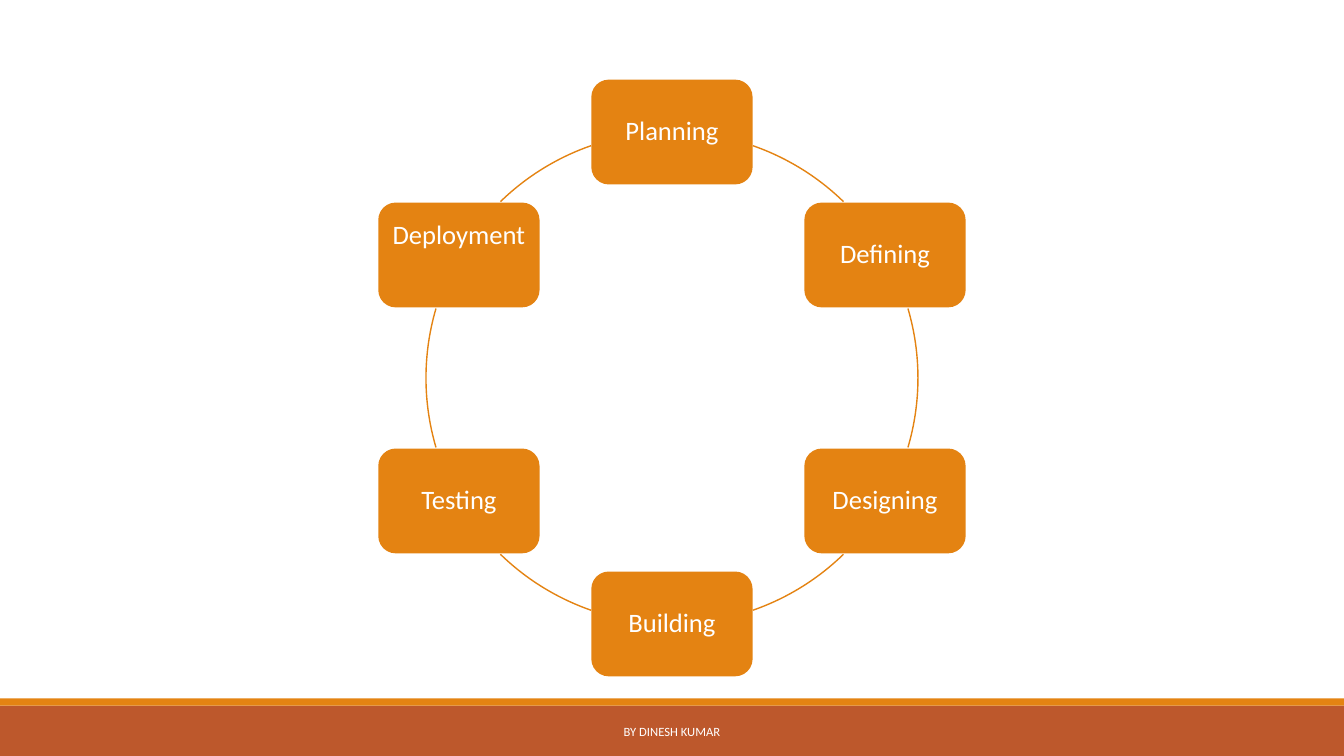
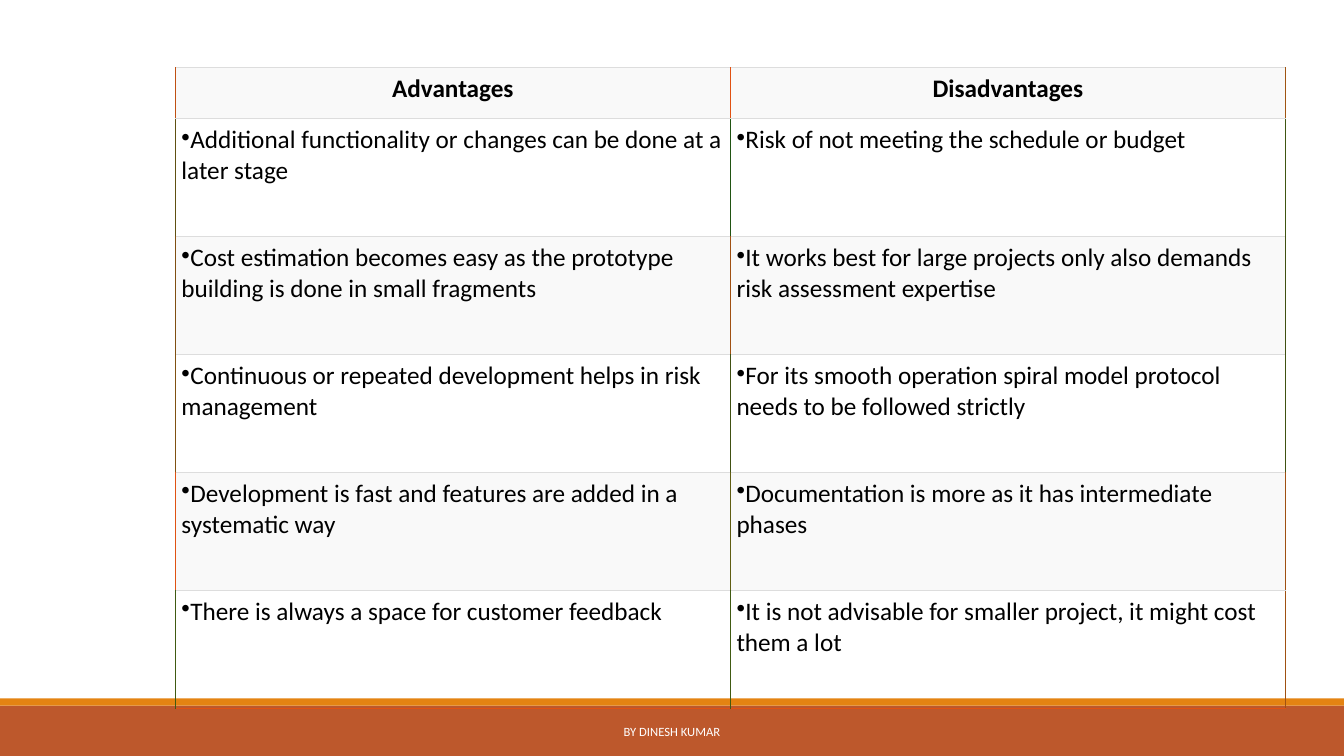
from dataclasses import dataclass
from math import cos, radians, sin

from lxml import etree
from pptx import Presentation
from pptx.dml.color import RGBColor
from pptx.enum.shapes import MSO_SHAPE
from pptx.enum.text import MSO_ANCHOR, PP_ALIGN
from pptx.oxml.ns import qn
from pptx.util import Inches, Pt

RECTANGLE, ROUNDED, ARC = MSO_SHAPE.RECTANGLE, MSO_SHAPE.ROUNDED_RECTANGLE, MSO_SHAPE.ARC
LEFT, CENTER = PP_ALIGN.LEFT, PP_ALIGN.CENTER
MIDDLE = MSO_ANCHOR.MIDDLE

ORANGE = RGBColor(0xE4, 0x83, 0x12)
RUST = RGBColor(0xBD, 0x58, 0x2C)
WHITE = RGBColor(0xFF, 0xFF, 0xFF)
BLACK = RGBColor(0x00, 0x00, 0x00)
STRIPE = RGBColor(0xF9, 0xF9, 0xF9)
RULE = RGBColor(0xDD, 0xDD, 0xDD)
BOTTOM_RULE = RGBColor(0xE0, 0x52, 0x12)

FONT = "Calibri"
SLIDE_WIDTH, SLIDE_HEIGHT = 13.33, 7.5
BAND_HEIGHT, STRIP_HEIGHT = 0.5, 0.07
RING_RADIUS = 2.44
BOX_WIDTH, BOX_HEIGHT = 1.6, 1.04
BOX_INSET, CELL_INSET = 0.08, 0.06
TABLE_LEFT, TABLE_TOP, TABLE_WIDTH = 1.74, 0.67, 11.01
HEADER_HEIGHT, ROW_HEIGHT = 0.51, 1.17


@dataclass(frozen=True)
class Stage:
    """A stage of the cycle and the angles of the arc that follows it."""
    label: str
    arc_start: float
    arc_end: float
    lift: float = 0


@dataclass(frozen=True)
class Row:
    """A table row with the colours of its three vertical rules."""
    texts: tuple[str, str]
    rules: tuple[str, str, str]


STAGES = (
    Stage("Planning", 289.2, 314.2),
    Stage("Defining", 343.6, 16.4),
    Stage("Designing", 45.8, 70.8),
    Stage("Building", 109.2, 134.2),
    Stage("Testing", 163.6, 196.4),
    Stage("Deployment", 225.8, 250.8, lift=0.38),
)

ROWS = (
    Row(("Advantages", "Disadvantages"), ("C05012", "E05112", "A05512")),
    Row(("Additional functionality or changes can be done at a later stage",
         "Risk of not meeting the schedule or budget"),
        ("605012", "205312", "405612")),
    Row(("Cost estimation becomes easy as the prototype building is done in small fragments",
         "It works best for large projects only also demands risk assessment expertise"),
        ("804F12", "A05012", "405012")),
    Row(("Continuous or repeated development helps in risk management",
         "For its smooth operation spiral model protocol needs to be followed strictly"),
        ("805112", "405012", "405212")),
    Row(("Development is fast and features are added in a systematic way",
         "Documentation is more as it has intermediate phases"),
        ("E05212", "605D12", "A05112")),
    Row(("There is always a space for customer feedback",
         "It is not advisable for smaller project, it might cost them a lot"),
        ("405A12", "405A12", "A05112")),
)


def write_text(frame, text: str, *, size: float, color: RGBColor, bold: bool = False,
               align=CENTER, line_spacing: float = 1.0, bullet: bool = False) -> None:
    """Write one formatted paragraph into a text frame."""
    paragraph = frame.paragraphs[0]
    paragraph.alignment = align
    paragraph.line_spacing = line_spacing
    run = paragraph.add_run()
    run.text = text
    run.font.name = FONT
    run.font.size = Pt(size)
    run.font.bold = bold
    run.font.color.rgb = color
    if bullet:
        properties = paragraph._p.get_or_add_pPr()
        properties.set("marL", "0")
        properties.set("indent", "0")
        etree.SubElement(properties, qn("a:buChar")).set("char", "•")


def set_insets(target, inset: float) -> None:
    """Give a text frame or cell the same margin on every side."""
    target.margin_left = target.margin_right = Inches(inset)
    target.margin_top = target.margin_bottom = Inches(inset)


def add_block(slide, kind, left: float, top: float, width: float, height: float, color: RGBColor):
    """Add a filled preset shape without outline or shadow."""
    shape = slide.shapes.add_shape(kind, Inches(left), Inches(top), Inches(width), Inches(height))
    shape.shadow.inherit = False
    shape.fill.solid()
    shape.fill.fore_color.rgb = color
    shape.line.fill.background()
    return shape


def add_base_slide(presentation):
    """Add a blank slide with the bottom bands and the footer."""
    slide = presentation.slides.add_slide(presentation.slide_layouts[6])
    band_top = SLIDE_HEIGHT - BAND_HEIGHT
    add_block(slide, RECTANGLE, 0, band_top, SLIDE_WIDTH, BAND_HEIGHT, RUST)
    add_block(slide, RECTANGLE, 0, band_top - STRIP_HEIGHT, SLIDE_WIDTH, STRIP_HEIGHT, ORANGE)
    footer = slide.shapes.add_textbox(Inches(4.03), Inches(7.06), Inches(5.27), Inches(0.4))
    footer.text_frame.word_wrap = True
    footer.text_frame.vertical_anchor = MIDDLE
    write_text(footer.text_frame, "BY DINESH KUMAR", size=9, color=WHITE)
    return slide


def add_arc(slide, center_x: float, center_y: float, stage: Stage) -> None:
    """Draw the part of the ring that follows a stage."""
    arc = slide.shapes.add_shape(ARC, Inches(center_x - RING_RADIUS), Inches(center_y - RING_RADIUS),
                                 Inches(2 * RING_RADIUS), Inches(2 * RING_RADIUS))
    arc.shadow.inherit = False
    arc.fill.background()
    arc.line.color.rgb = ORANGE
    arc.line.width = Pt(1)
    for index, angle in enumerate((stage.arc_start, stage.arc_end)):
        arc.adjustments[index] = angle * 0.6


def add_cycle_slide(presentation) -> None:
    """Build the slide with the ring of stages."""
    slide = add_base_slide(presentation)
    center_x, center_y = SLIDE_WIDTH / 2, SLIDE_HEIGHT / 2
    for index, stage in enumerate(STAGES):
        angle = radians(index * 360 / len(STAGES) - 90)
        left = center_x + RING_RADIUS * cos(angle) - BOX_WIDTH / 2
        top = center_y + RING_RADIUS * sin(angle) - BOX_HEIGHT / 2
        box = add_block(slide, ROUNDED, left, top, BOX_WIDTH, BOX_HEIGHT, ORANGE)
        frame = box.text_frame
        set_insets(frame, BOX_INSET)
        frame.margin_bottom = Inches(BOX_INSET + stage.lift)
        frame.word_wrap = False
        frame.vertical_anchor = MIDDLE
        write_text(frame, stage.label, size=19, color=WHITE, line_spacing=0.9)
        add_arc(slide, center_x, center_y, stage)


def set_borders(cell, borders: dict[str, tuple[RGBColor, float]]) -> None:
    """Set cell borders, given in the order left, right, top, bottom."""
    properties = cell._tc.get_or_add_tcPr()
    for index, (side, (color, width)) in enumerate(borders.items()):
        line = etree.Element(qn(f"a:ln{side}"), w=str(Pt(width)))
        fill = etree.SubElement(line, qn("a:solidFill"))
        etree.SubElement(fill, qn("a:srgbClr")).set("val", str(color))
        properties.insert(index, line)


def add_comparison_slide(presentation) -> None:
    """Build the slide with the table of advantages and disadvantages."""
    slide = add_base_slide(presentation)
    height = HEADER_HEIGHT + ROW_HEIGHT * (len(ROWS) - 1)
    table = slide.shapes.add_table(len(ROWS), 2, Inches(TABLE_LEFT), Inches(TABLE_TOP),
                                   Inches(TABLE_WIDTH), Inches(height)).table
    table.first_row = table.horz_banding = False
    for row_index, row in enumerate(ROWS):
        is_header = row_index == 0
        is_last = row_index == len(ROWS) - 1
        table.rows[row_index].height = Inches(HEADER_HEIGHT if is_header else ROW_HEIGHT)
        bottom = (BOTTOM_RULE, 1) if is_last else (RULE, 0.75)
        for column_index, text in enumerate(row.texts):
            cell = table.cell(row_index, column_index)
            set_insets(cell, CELL_INSET)
            if row_index % 2 == 0:
                cell.fill.solid()
                cell.fill.fore_color.rgb = STRIPE
            else:
                cell.fill.background()
            left, right = (RGBColor.from_string(rule)
                           for rule in row.rules[column_index:column_index + 2])
            set_borders(cell, {"L": (left, 1), "R": (right, 1), "T": (RULE, 0.75), "B": bottom})
            write_text(cell.text_frame, text, size=18, color=BLACK, bold=is_header,
                       align=CENTER if is_header else LEFT, bullet=not is_header)


def main() -> None:
    """Build and save the presentation."""
    presentation = Presentation()
    presentation.slide_width = Inches(SLIDE_WIDTH)
    presentation.slide_height = Inches(SLIDE_HEIGHT)
    add_cycle_slide(presentation)
    add_comparison_slide(presentation)
    presentation.save("out.pptx")


if __name__ == "__main__":
    main()
